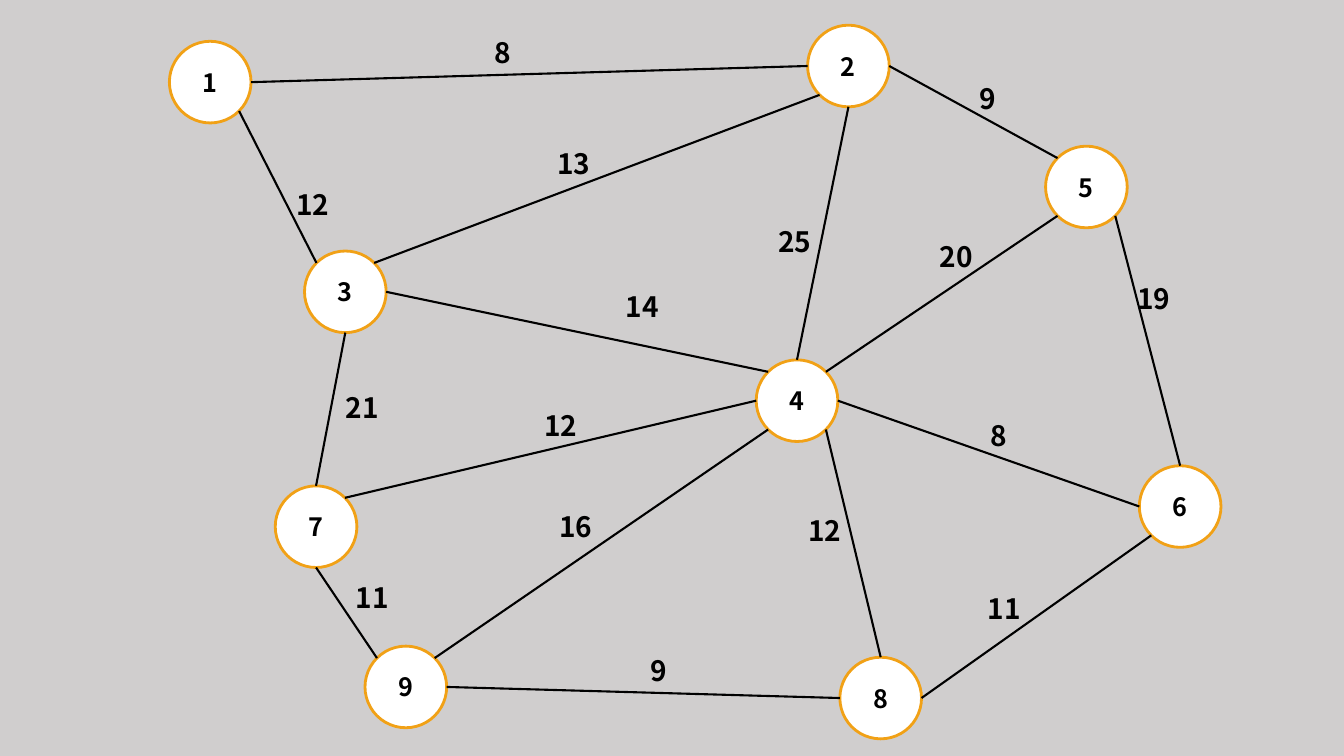
from math import cos, pi, sin

from lxml import etree
from pptx import Presentation
from pptx.dml.color import RGBColor
from pptx.enum.shapes import MSO_CONNECTOR, MSO_SHAPE
from pptx.enum.text import MSO_ANCHOR, MSO_AUTO_SIZE, PP_ALIGN
from pptx.oxml.ns import qn
from pptx.util import Inches, Pt

ELLIPSE = MSO_SHAPE.OVAL
STRAIGHT = MSO_CONNECTOR.STRAIGHT
MIDDLE = MSO_ANCHOR.MIDDLE
CENTER = PP_ALIGN.CENTER
FIT_SHAPE = MSO_AUTO_SIZE.SHAPE_TO_FIT_TEXT

FONT = "Noto Sans CJK KR"
BACKGROUND = "D0CECE"
WHITE = "FFFFFF"
BLACK = "000000"
ORANGE = "F1A116"
DIAMETER = 0.81
LABEL_HEIGHT = 0.44
LABEL_WIDTHS = {1: 0.36, 2: 0.53}

NODES = {
    1: (1.68, 0.41),
    2: (8.01, 0.25),
    3: (3.02, 2.49),
    4: (7.5, 3.57),
    5: (10.37, 1.45),
    6: (11.3, 4.62),
    7: (2.73, 4.82),
    8: (8.33, 6.52),
    9: (3.62, 6.41),
}

TOP, TOP_LEFT, LEFT, BOTTOM_LEFT, BOTTOM, BOTTOM_RIGHT, RIGHT, TOP_RIGHT = range(8)

EDGES = [
    ((1, RIGHT), (2, LEFT), 8, (4.81, 0.3)),
    ((1, BOTTOM_RIGHT), (3, TOP_LEFT), 12, (2.84, 1.81)),
    ((3, TOP_RIGHT), (2, BOTTOM_LEFT), 13, (5.43, 1.4)),
    ((2, BOTTOM), (4, TOP), 25, (7.62, 2.18)),
    ((5, TOP_LEFT), (2, RIGHT), 9, (9.62, 0.76)),
    ((3, RIGHT), (4, TOP_LEFT), 14, (6.11, 2.82)),
    ((7, TOP), (3, BOTTOM), 21, (3.33, 3.82)),
    ((5, BOTTOM_LEFT), (4, TOP_RIGHT), 20, (9.22, 2.33)),
    ((5, BOTTOM_RIGHT), (6, TOP), 19, (11.18, 2.74)),
    ((7, TOP_RIGHT), (4, LEFT), 12, (5.3, 4)),
    ((4, RIGHT), (6, LEFT), 8, (9.73, 4.1)),
    ((4, BOTTOM_LEFT), (9, TOP_RIGHT), 16, (5.45, 5.01)),
    ((8, TOP), (4, BOTTOM_RIGHT), 12, (7.92, 5.05)),
    ((8, RIGHT), (6, BOTTOM_LEFT), 11, (9.7, 5.82)),
    ((7, BOTTOM), (9, TOP_LEFT), 11, (3.43, 5.71)),
    ((9, RIGHT), (8, LEFT), 9, (6.35, 6.43)),
]


def color(hex_value):
    """Turn a hex string into a colour."""
    return RGBColor.from_string(hex_value)


def write_number(text_frame, number, size):
    """Write a bold black number and return its paragraph."""
    paragraph = text_frame.paragraphs[0]
    paragraph.text = str(number)
    paragraph.font.name = FONT
    paragraph.font.size = Pt(size)
    paragraph.font.bold = True
    paragraph.font.color.rgb = color(BLACK)
    return paragraph


def add_node(slide, number, left, top):
    """Draw one numbered circle and return it."""
    node = slide.shapes.add_shape(
        ELLIPSE, Inches(left), Inches(top), Inches(DIAMETER), Inches(DIAMETER))
    node.shadow.inherit = False
    node.fill.solid()
    node.fill.fore_color.rgb = color(WHITE)
    node.line.color.rgb = color(ORANGE)
    node.line.width = Pt(2)
    node.text_frame.vertical_anchor = MIDDLE
    write_number(node.text_frame, number, 18).alignment = CENTER
    return node


def site_position(node, site):
    """Locate a connection site, counted anticlockwise from the top."""
    radius = node.width / 2
    angle = site * pi / 4
    x = node.left + radius * (1 - sin(angle))
    y = node.top + radius * (1 - cos(angle))
    return round(x), round(y)


def add_edge(slide, start_node, start_site, end_node, end_site):
    """Join two circles with a line attached to their connection sites."""
    edge = slide.shapes.add_connector(
        STRAIGHT,
        *site_position(start_node, start_site),
        *site_position(end_node, end_site))
    edge.line.color.rgb = color(BLACK)
    edge.line.width = Pt(1.5)
    etree.SubElement(edge._element.spPr, qn("a:effectLst"))
    links = edge._element.nvCxnSpPr.cNvCxnSpPr
    for tag, node, site in (("a:stCxn", start_node, start_site),
                            ("a:endCxn", end_node, end_site)):
        etree.SubElement(links, qn(tag), id=str(node.shape_id), idx=str(site))


def add_weight(slide, weight, left, top):
    """Place the weight of an edge."""
    width = LABEL_WIDTHS[len(str(weight))]
    label = slide.shapes.add_textbox(
        Inches(left), Inches(top), Inches(width), Inches(LABEL_HEIGHT))
    label.text_frame.word_wrap = False
    label.text_frame.auto_size = FIT_SHAPE
    write_number(label.text_frame, weight, 20)


def main():
    """Build the weighted graph slide."""
    presentation = Presentation()
    presentation.slide_width = Inches(13.33)
    presentation.slide_height = Inches(7.5)
    slide = presentation.slides.add_slide(presentation.slide_layouts[6])
    slide.background.fill.solid()
    slide.background.fill.fore_color.rgb = color(BACKGROUND)

    nodes = {number: add_node(slide, number, *position)
             for number, position in NODES.items()}
    for (start, start_site), (end, end_site), weight, position in EDGES:
        add_edge(slide, nodes[start], start_site, nodes[end], end_site)
        add_weight(slide, weight, *position)

    presentation.save("out.pptx")


if __name__ == "__main__":
    main()
